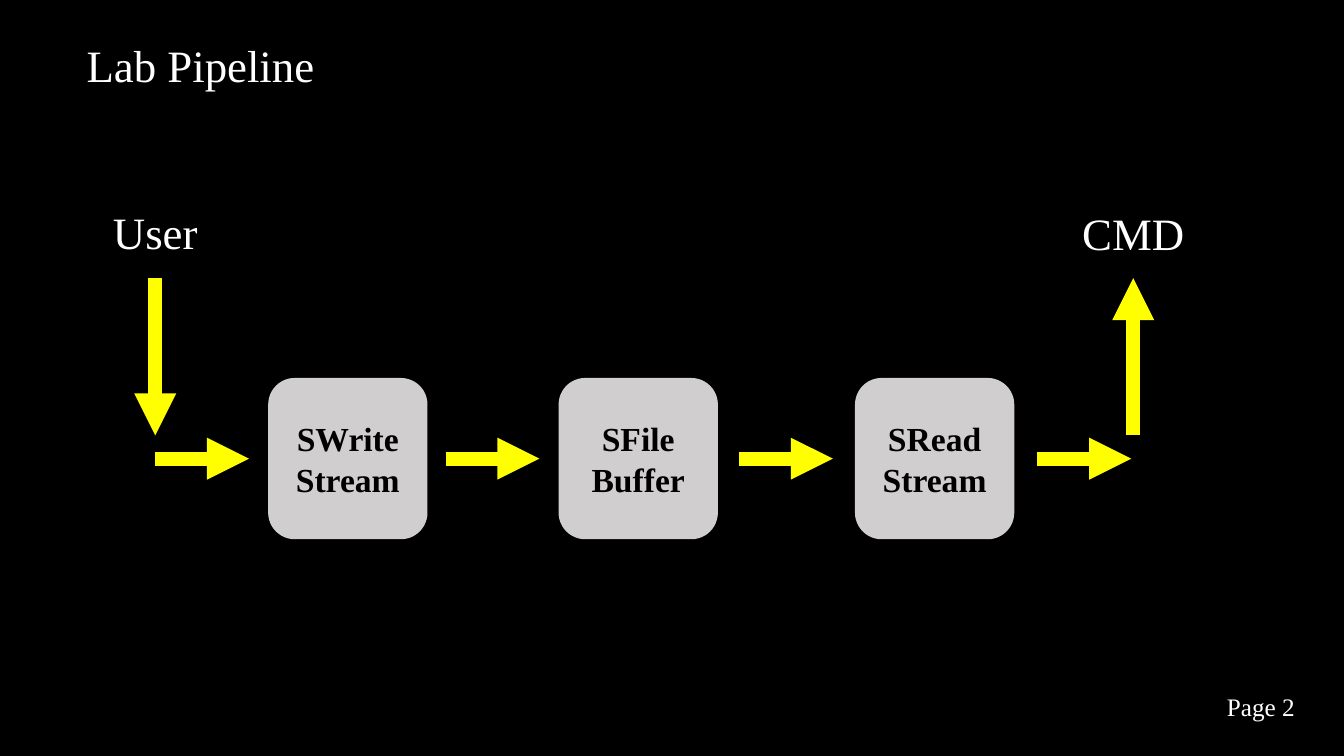
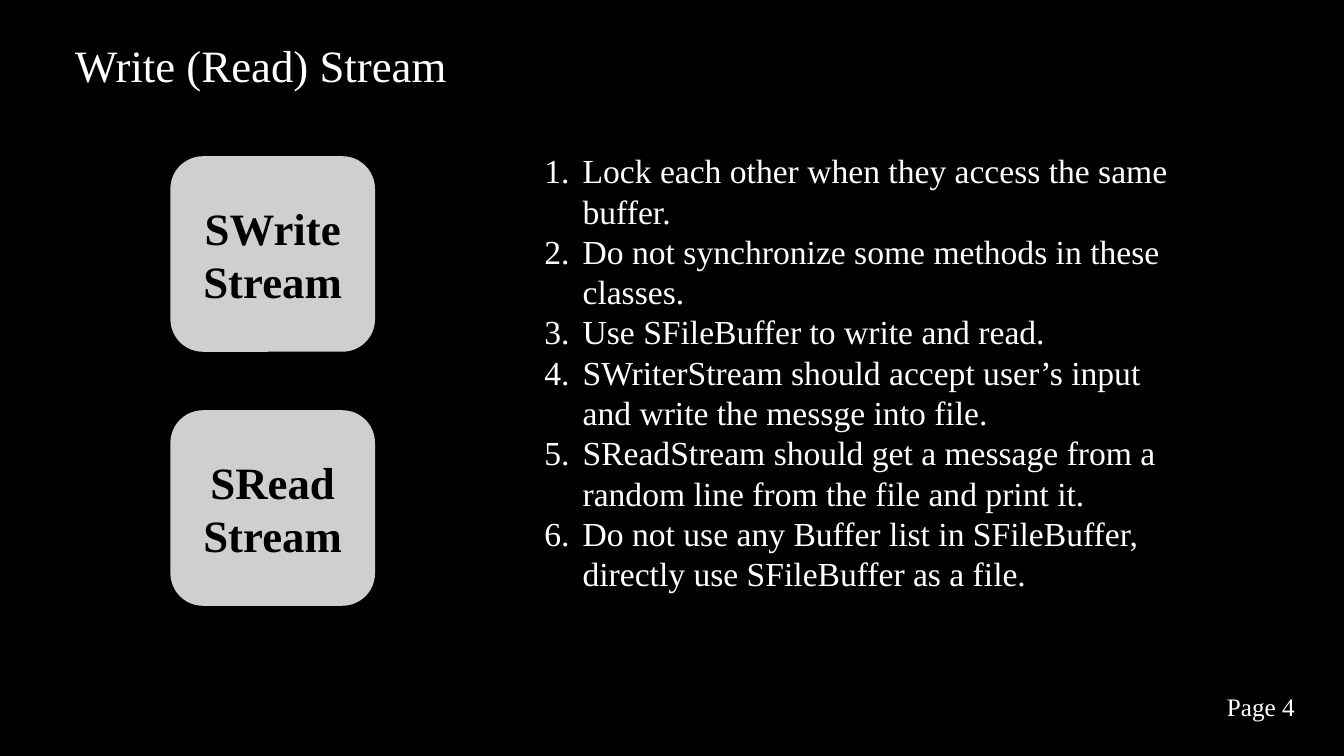
import dataclasses

import lxml.etree
import pptx
import pptx.dml.color
import pptx.enum.shapes
import pptx.enum.text
import pptx.oxml.ns
import pptx.util

Inches = pptx.util.Inches
Align = pptx.enum.text.PP_ALIGN
Shape = pptx.enum.shapes.MSO_SHAPE


@dataclasses.dataclass(frozen=True)
class Theme:
    """Holds the colours, font and type sizes of the deck."""
    font: str = "Times New Roman"
    back: str = "000000"
    light: str = "FFFFFF"
    dark: str = "000000"
    block: str = "D0CECE"
    arrow: str = "FFFF00"
    head: int = 32
    body: int = 24
    foot: int = 18
    stroke: int = 10


THEME = Theme()
LEFT, CENTER = Align.LEFT, Align.CENTER


def color(code):
    """Turn a hex code into a colour."""
    return pptx.dml.color.RGBColor.from_string(code)


def apply(target, values):
    """Set each named value on the target."""
    for name, value in values.items():
        setattr(target, name, value)


def child(parent, tag, **values):
    """Append a drawing element to its parent."""
    return lxml.etree.SubElement(parent, pptx.oxml.ns.qn(tag), **values)


def write(frame, lines, size, tint, align, bold=False):
    """Fill a text frame with one paragraph per line."""
    frame.word_wrap = True
    for index, line in enumerate(lines):
        para = frame.add_paragraph() if index else frame.paragraphs[0]
        para.alignment = align
        run = para.add_run()
        run.text = line
        apply(run.font, {"name": THEME.font, "size": pptx.util.Pt(size), "bold": bold})
        run.font.color.rgb = color(tint)


def label(slide, box, lines, size, align=CENTER):
    """Place light text in a box that fits it."""
    text = slide.shapes.add_textbox(*map(Inches, box))
    write(text.text_frame, lines, size, THEME.light, align)
    text.text_frame.auto_size = pptx.enum.text.MSO_AUTO_SIZE.SHAPE_TO_FIT_TEXT
    return text


def block(slide, box, lines, size):
    """Place a rounded block with bold text."""
    shape = slide.shapes.add_shape(Shape.ROUNDED_RECTANGLE, *map(Inches, box))
    shape.shadow.inherit = False
    shape.fill.solid()
    shape.fill.fore_color.rgb = color(THEME.block)
    shape.line.fill.background()
    shape.text_frame.vertical_anchor = pptx.enum.text.MSO_ANCHOR.MIDDLE
    write(shape.text_frame, lines, size, THEME.dark, CENTER, bold=True)


def arrow(slide, start, end):
    """Draw a thick arrow from start to end."""
    kind = pptx.enum.shapes.MSO_CONNECTOR.STRAIGHT
    line = slide.shapes.add_connector(kind, *map(Inches, (*start, *end)))
    line.line.width = pptx.util.Pt(THEME.stroke)
    line.line.color.rgb = color(THEME.arrow)
    child(line.line._get_or_add_ln(), "a:tailEnd", type="triangle")
    child(line._element.spPr, "a:effectLst")


def page(deck, title, width, number):
    """Add a dark slide with its title and page number."""
    slide = deck.slides.add_slide(deck.slide_layouts[6])
    slide.background.fill.solid()
    slide.background.fill.fore_color.rgb = color(THEME.back)
    label(slide, (0.41, 0.33, width, 0.64), [title], THEME.head)
    label(slide, (12.07, 6.81, 0.91, 0.4), [f"Page {number}"], THEME.foot, LEFT)
    return slide


def flow(slide, box):
    """Lay out the blocks and arrows from user to command."""
    left, top, width, height = box
    side, tall, reach = 1.58, 1.6, 0.93
    right, low = left + width, top + height
    middle = low - tall / 2
    for name, mid, rise in (("User", left, 0), ("CMD", right, 0.01)):
        label(slide, (mid - 0.64, top + rise, 1.28, 0.64), [name], THEME.head)
    stages = ((1.12, ["SWrite", "Stream"]),
              (4, ["SFile", "Buffer"]),
              (6.94, ["SRead", "Stream"]))
    for shift, lines in stages:
        block(slide, (left + shift, low - tall, side, tall), lines, THEME.body)
    for shift in (0, 2.88, 5.79, 8.75):
        arrow(slide, (left + shift, middle), (left + shift + reach, middle))
    high, base = top + 0.78, top + 2.34
    arrow(slide, (left, high), (left, base))
    arrow(slide, (right, base), (right, high))


def stack(slide, box, names):
    """Stack equal blocks down the box."""
    left, top, width, height = box
    tall = 1.94
    step = (height - tall) / (len(names) - 1)
    for index, lines in enumerate(names):
        block(slide, (left, top + index * step, width, tall), lines, THEME.head)


def rules(slide, box, lines):
    """Place a numbered list."""
    text = label(slide, box, lines, THEME.body, LEFT)
    indent = Inches(0.38)
    for para in text.text_frame.paragraphs:
        props = para._p.get_or_add_pPr()
        for name, value in {"marL": indent, "indent": -indent}.items():
            props.set(name, str(int(value)))
        child(props, "a:buFont", typeface="+mj-lt")
        child(props, "a:buAutoNum", type="arabicPeriod")


def main():
    """Build and save the deck."""
    deck = pptx.Presentation()
    apply(deck, {"slide_width": Inches(13.33), "slide_height": Inches(7.5)})
    flow(page(deck, "Lab Pipeline", 3.16, 2), (1.54, 1.98, 9.7, 3.37))
    stream = page(deck, "Write (Read) Stream", 4.36, 4)
    stack(stream, (1.69, 1.55, 2.03, 4.46), [["SWrite Stream"], ["SRead", "Stream"]])
    rules(stream, (5.3, 1.44, 6.65, 4.54), [
        "Lock each other when they access the same buffer.",
        "Do not synchronize some methods in these classes.",
        "Use SFileBuffer to write and read.",
        "SWriterStream should accept user’s input and write the messge into file.",
        "SReadStream should get a message from a random line from the file and print it.",
        "Do not use any Buffer list in SFileBuffer, directly use SFileBuffer as a file.",
    ])
    deck.save("out.pptx")


if __name__ == "__main__":
    main()
